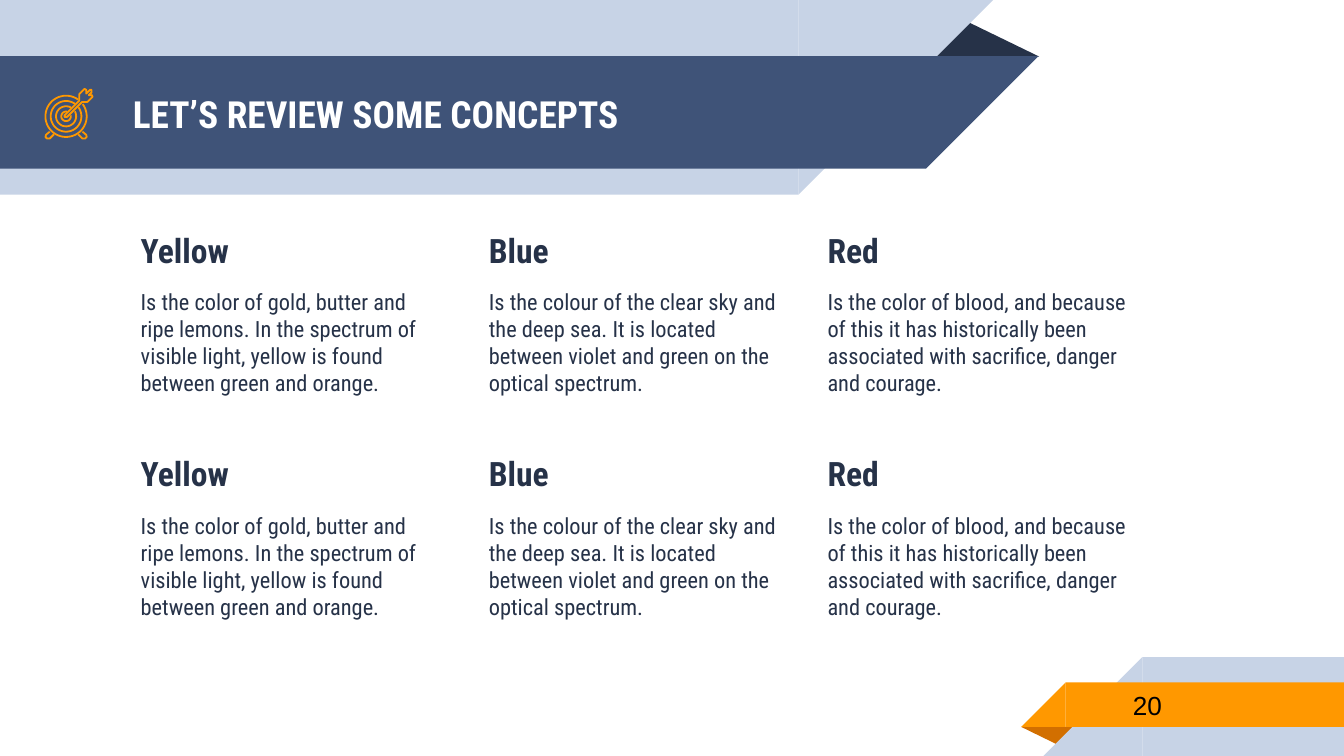
from math import cos, radians, sin

from pptx import Presentation
from pptx.dml.color import RGBColor
from pptx.enum.shapes import MSO_SHAPE
from pptx.enum.text import MSO_ANCHOR
from pptx.util import Cm, Pt

RECTANGLE = MSO_SHAPE.RECTANGLE
RIGHT_TRIANGLE = MSO_SHAPE.RIGHT_TRIANGLE
TRIANGLE = MSO_SHAPE.ISOSCELES_TRIANGLE
TOP = MSO_ANCHOR.TOP
MIDDLE = MSO_ANCHOR.MIDDLE

NAVY = RGBColor(0x26, 0x32, 0x48)
BLUE = RGBColor(0x3F, 0x53, 0x78)
PALE_BLUE = RGBColor(0xC7, 0xD3, 0xE6)
ORANGE = RGBColor(0xFF, 0x98, 0x00)
DARK_ORANGE = RGBColor(0xD2, 0x6F, 0x00)
WHITE = RGBColor(0xFF, 0xFF, 0xFF)
BLACK = RGBColor(0x00, 0x00, 0x00)

FONT = "Roboto Condensed"
SLIDE_WIDTH, SLIDE_HEIGHT = 25.4, 14.29

CONCEPTS = [
    ("Yellow", "Is the color of gold, butter and ripe lemons. In the spectrum "
               "of visible light, yellow is found between green and orange."),
    ("Blue", "Is the colour of the clear sky and the deep sea. It is located "
             "between violet and green on the optical spectrum."),
    ("Red", "Is the color of blood, and because of this it has historically "
            "been associated with sacrifice, danger and courage."),
]
COLUMN_LEFTS = [2.41, 8.99, 15.39]
ROW_TOP, CONCEPT_WIDTH, CONCEPT_HEIGHT = 4.09, 6.25, 4.23

TARGET_X, TARGET_Y = 1.25, 2.2
RINGS = [(0.39, 9), (0.29, 9), (0.19, 16), (0.09, 33)]
FOOT = [(0.94, 2.49), (0.87, 2.55), (0.86, 2.59), (0.89, 2.62),
        (0.94, 2.62), (1.02, 2.54)]
ARROW = [(1.74, 1.8), (1.68, 1.8), (1.73, 1.75), (1.73, 1.7), (1.7, 1.7),
         (1.63, 1.77), (1.63, 1.7), (1.6, 1.68), (1.5, 1.78), (1.5, 1.9),
         (1.22, 2.18), (1.22, 2.21), (1.27, 2.21), (1.55, 1.93),
         (1.65, 1.93), (1.75, 1.83)]


def add_block(slide, kind, left, top, width, height, color, rotation=0):
    block = slide.shapes.add_shape(kind, Cm(left), Cm(top), Cm(width), Cm(height))
    block.shadow.inherit = False
    block.fill.solid()
    block.fill.fore_color.rgb = color
    block.line.fill.background()
    block.rotation = rotation
    return block


def add_fold(slide, left, top, width, height, color, rotation=0):
    fold = add_block(slide, TRIANGLE, left, top, width, height, color, rotation)
    fold.adjustments[0] = 0.324


def add_left_ribbon(slide, top, width, height, color):
    add_block(slide, RECTANGLE, 0, top, width, height, color)
    add_block(slide, RIGHT_TRIANGLE, width, top, height, height, color, 90)


def add_right_ribbon(slide, left, top, height, color):
    add_block(slide, RECTANGLE, left, top, SLIDE_WIDTH - left, height, color)
    add_block(slide, RIGHT_TRIANGLE, left - height, top, height, height, color, 270)


def add_text(slide, left, top, width, height, lines, anchor=TOP, space_after=0):
    box = slide.shapes.add_textbox(Cm(left), Cm(top), Cm(width), Cm(height))
    frame = box.text_frame
    frame.word_wrap = True
    frame.vertical_anchor = anchor
    frame.margin_left = frame.margin_right = Cm(0.25)
    frame.margin_top = frame.margin_bottom = Cm(0.25)
    frame.text = "\n".join(line[0] for line in lines)
    for paragraph, (_, font_name, size, color, bold) in zip(frame.paragraphs, lines):
        paragraph.space_after = Pt(space_after)
        font = paragraph.runs[0].font
        font.name = font_name
        font.size = Pt(size)
        font.color.rgb = color
        font.bold = bold


def add_outline(slide, points, close=False):
    corners = [(Cm(x), Cm(y)) for x, y in points]
    builder = slide.shapes.build_freeform(*corners[0])
    builder.add_line_segments(corners[1:], close=close)
    outline = builder.convert_to_shape()
    outline.shadow.inherit = False
    outline.fill.background()
    outline.line.color.rgb = ORANGE
    outline.line.width = Pt(0.96)


def ring_points(radius, half_gap):
    steps = 48
    sweep = 360 - 2 * half_gap
    angles = [radians(half_gap - 45 + sweep * i / steps) for i in range(steps + 1)]
    return [(TARGET_X + radius * cos(a), TARGET_Y + radius * sin(a)) for a in angles]


def add_target(slide):
    for radius, half_gap in RINGS:
        add_outline(slide, ring_points(radius, half_gap))
    add_outline(slide, FOOT)
    add_outline(slide, [(2 * TARGET_X - x, y) for x, y in FOOT])
    add_outline(slide, ARROW, close=True)


def add_concepts(slide):
    for row in range(2):
        top = ROW_TOP + row * CONCEPT_HEIGHT
        for left, (name, description) in zip(COLUMN_LEFTS, CONCEPTS):
            lines = [(name, FONT, 18, NAVY, True),
                     (description, FONT, 12, NAVY, False)]
            add_text(slide, left, top, CONCEPT_WIDTH, CONCEPT_HEIGHT, lines,
                     space_after=10)


def main():
    deck = Presentation()
    deck.slide_width = Cm(SLIDE_WIDTH)
    deck.slide_height = Cm(SLIDE_HEIGHT)
    slide = deck.slides.add_slide(deck.slide_layouts[6])

    add_fold(slide, 17.48, 0.36, 2.16, 0.71, NAVY)
    add_left_ribbon(slide, 0, 15.09, 3.68, PALE_BLUE)
    add_left_ribbon(slide, 1.06, 17.5, 2.13, BLUE)
    add_fold(slide, 19.3, 13.74, 1.09, 0.36, DARK_ORANGE, 180)
    add_right_ribbon(slide, 21.59, 12.42, 1.87, PALE_BLUE)
    add_right_ribbon(slide, 20.14, 12.9, 0.84, ORANGE)

    add_text(slide, 2.26, 1.09, 14.6, 2.13,
             [("LET’S REVIEW SOME CONCEPTS", FONT, 20, WHITE, True)], MIDDLE)
    add_concepts(slide)
    add_text(slide, 21.16, 12.88, 4.14, 0.89,
             [("20", "Arial", 14, BLACK, False)], MIDDLE)
    add_target(slide)
    deck.save("out.pptx")


main()
